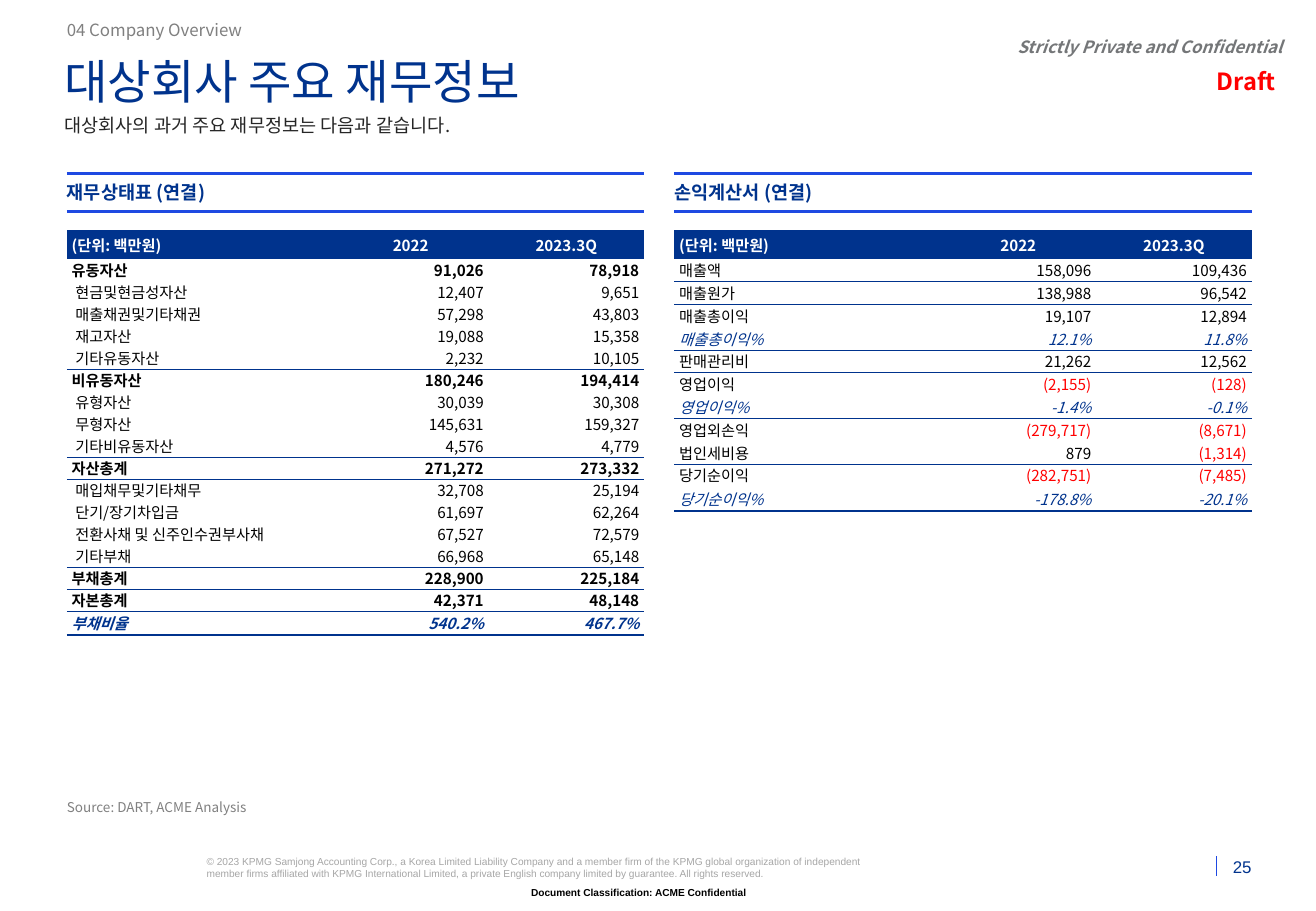
from lxml.etree import SubElement
from pptx import Presentation
from pptx.dml.color import RGBColor
from pptx.enum.shapes import MSO_CONNECTOR
from pptx.enum.text import MSO_ANCHOR, PP_ALIGN
from pptx.oxml import parse_xml
from pptx.oxml.ns import nsdecls, qn
from pptx.util import Pt

EMU_PER_PX = 9144
SANS, ARIAL = "Noto Sans CJK KR", "Arial"
NO_GRID_STYLE = "{2D5ABB26-0587-4C30-8999-92F81FD0307C}"
COLORS = {
    "navy": "00338D", "blue": "1E49E2", "red": "FF0000", "black": "000000",
    "white": "FFFFFF", "dark": "262626", "gray": "808080", "warm": "747678",
    "pale": "A6A6A6",
}
LEFT, MIDDLE, RIGHT = PP_ALIGN.LEFT, PP_ALIGN.CENTER, PP_ALIGN.RIGHT
SECTION_WIDTH = 475
COLUMNS = (219, 128, 128)
HEADER = ("(단위: 백만원)", "2022", "2023.3Q")
HEADER_HEIGHT = 24

# label, 2022, 2023.3Q, kind of row, whether a rule runs below
BALANCE_SHEET = [
    ("유동자산", "91,026", "78,918", "total", False),
    ("현금및현금성자산", "12,407", "9,651", "item", False),
    ("매출채권및기타채권", "57,298", "43,803", "item", False),
    ("재고자산", "19,088", "15,358", "item", False),
    ("기타유동자산", "2,232", "10,105", "item", True),
    ("비유동자산", "180,246", "194,414", "total", False),
    ("유형자산", "30,039", "30,308", "item", False),
    ("무형자산", "145,631", "159,327", "item", False),
    ("기타비유동자산", "4,576", "4,779", "item", True),
    ("자산총계", "271,272", "273,332", "total", True),
    ("매입채무및기타채무", "32,708", "25,194", "item", False),
    ("단기/장기차입금", "61,697", "62,264", "item", False),
    ("전환사채 및 신주인수권부사채", "67,527", "72,579", "item", False),
    ("기타부채", "66,968", "65,148", "item", True),
    ("부채총계", "228,900", "225,184", "total", True),
    ("자본총계", "42,371", "48,148", "total", True),
    ("부채비율", "540.2%", "467.7%", "total ratio", True),
]
INCOME_STATEMENT = [
    ("매출액", "158,096", "109,436", "plain", True),
    ("매출원가", "138,988", "96,542", "plain", True),
    ("매출총이익", "19,107", "12,894", "plain", False),
    ("매출총이익%", "12.1%", "11.8%", "ratio", True),
    ("판매관리비", "21,262", "12,562", "plain", True),
    ("영업이익", "(2,155)", "(128)", "plain", False),
    ("영업이익%", "-1.4%", "-0.1%", "ratio", True),
    ("영업외손익", "(279,717)", "(8,671)", "plain", False),
    ("법인세비용", "879", "(1,314)", "plain", True),
    ("당기순이익", "(282,751)", "(7,485)", "plain", False),
    ("당기순이익%", "-178.8%", "-20.1%", "ratio", True),
]


def px(length):
    return round(length * EMU_PER_PX)


def write(frame, text, size, color, align=LEFT, bold=False, italic=False,
          name=SANS, spacing=None):
    para = frame.paragraphs[0]
    para.text = text
    para.alignment = align
    para.line_spacing = spacing
    font = para.font
    font.name, font.size, font.bold, font.italic = name, Pt(size), bold, italic
    font.color.rgb = RGBColor.from_string(COLORS[color])
    SubElement(font._element, qn("a:ea"), typeface=name)


def add_text(shapes, area, text, size, color, anchor=MSO_ANCHOR.TOP, **style):
    box = shapes.add_textbox(*map(px, area))
    frame = box.text_frame
    frame.word_wrap = True
    frame.vertical_anchor = anchor
    frame.margin_left = frame.margin_right = 0
    frame.margin_top = frame.margin_bottom = 0
    write(frame, text, size, color, **style)


def add_line(shapes, start, end, width):
    line = shapes.add_connector(MSO_CONNECTOR.STRAIGHT, *map(px, start + end))
    line.line.color.rgb = RGBColor.from_string(COLORS["blue"])
    line.line.width = Pt(width)
    SubElement(line._element.spPr, qn("a:effectLst"))


def add_section_title(page, left, text):
    shapes = page.shapes.add_group_shape().shapes
    top, height = 143, 31
    add_text(shapes, (left, top, SECTION_WIDTH, height), text, 11, "navy",
             anchor=MSO_ANCHOR.MIDDLE, bold=True)
    for y in (top, top + height):
        add_line(shapes, (left, y), (left + SECTION_WIDTH, y), 1.5)


def set_rule_below(cell, width):
    cell._tc.get_or_add_tcPr().insert(0, parse_xml(
        f'<a:lnB {nsdecls("a")} w="{Pt(width)}"><a:solidFill>'
        f'<a:srgbClr val="{COLORS["navy"]}"/></a:solidFill></a:lnB>'))


def fill_cell(cell, text, color, inset=4, top=0, **style):
    cell.margin_left, cell.margin_right = px(inset), px(4)
    cell.margin_top, cell.margin_bottom = px(top), 0
    cell.vertical_anchor = MSO_ANCHOR.MIDDLE
    cell.fill.background()
    write(cell.text_frame, text, 9, color, **style)


def add_statement(page, left, height, entries):
    """Table with a navy header; its last row is one px taller than the others."""
    frame = page.shapes.add_table(len(entries) + 1, len(COLUMNS), px(left), px(189),
                                  px(SECTION_WIDTH), px(height))
    table = frame.table
    table.first_row = table.horz_banding = False
    table._tbl.tblPr.find(qn("a:tableStyleId")).text = NO_GRID_STYLE
    for column, width in zip(table.columns, COLUMNS):
        column.width = px(width)
    row_height = (height - HEADER_HEIGHT - 1) / len(entries)
    for row in table.rows:
        row.height = px(row_height)
    table.rows[0].height = px(HEADER_HEIGHT)
    table.rows[len(entries)].height = px(row_height + 1)

    for index, text in enumerate(HEADER):
        cell = table.cell(0, index)
        fill_cell(cell, text, "white", top=1, bold=True,
                  align=MIDDLE if index else LEFT)
        cell.fill.solid()
        cell.fill.fore_color.rgb = RGBColor.from_string(COLORS["navy"])

    for number, (*texts, kind, ruled) in enumerate(entries, 1):
        ratio = "ratio" in kind
        for index, text in enumerate(texts):
            color = "navy" if ratio else "red" if text.startswith("(") else "black"
            cell = table.cell(number, index)
            fill_cell(cell, text, color, bold="total" in kind, italic=ratio,
                      inset=7 if kind == "item" and index == 0 else 4,
                      align=RIGHT if index else LEFT)
            if ruled:
                set_rule_below(cell, 1.5 if number == len(entries) else 0.5)


def add_page_frame(page):
    """Confidentiality marks at the top and the footer."""
    shapes = page.shapes
    add_text(shapes, (805, 28, 250, 21), "Strictly Private and Confidential", 10, "warm",
             anchor=MSO_ANCHOR.MIDDLE, align=RIGHT, bold=True, italic=True)
    add_text(shapes, (862, 55, 188, 24), "Draft", 14, "red",
             anchor=MSO_ANCHOR.MIDDLE, align=RIGHT, bold=True)
    add_text(shapes, (1003, 706, 27, 16), "25", 10, "navy",
             anchor=MSO_ANCHOR.BOTTOM, align=RIGHT, name=ARIAL)
    add_text(shapes, (414, 730, 200, 10), "Document Classification: ACME Confidential",
             6, "black", align=RIGHT, bold=True, name=ARIAL)
    add_line(shapes, (1001, 705), (1001, 721), 0.5)
    add_text(shapes, (170, 704, 559, 20),
             "© 2023 KPMG Samjong Accounting Corp., a Korea Limited Liability Company "
             "and a member firm of the KPMG global organization of independent member "
             "firms affiliated with KPMG International Limited, a private English "
             "company limited by guarantee. All rights reserved.",
             6, "pale", name=ARIAL)


def main():
    deck = Presentation()
    deck.slide_width, deck.slide_height = px(1083), px(750)
    page = deck.slides.add_slide(deck.slide_layouts[6])
    add_page_frame(page)
    add_text(page.shapes, (55, 14, 938, 21), "04 Company Overview", 10, "gray",
             anchor=MSO_ANCHOR.MIDDLE)
    add_text(page.shapes, (53, 96, 976, 19),
             "대상회사의 과거 주요 재무정보는 다음과 같습니다.", 11, "dark", spacing=0.9)
    add_text(page.shapes, (53, 48, 976, 47), "대상회사 주요 재무정보", 28, "navy",
             spacing=0.9)
    for left, title, height, entries in (
            (55, "재무상태표 (연결)", 334, BALANCE_SHEET),
            (555, "손익계산서 (연결)", 232, INCOME_STATEMENT)):
        add_section_title(page, left, title)
        add_statement(page, left, height, entries)
    add_text(page.shapes, (55, 655, 469, 16), "Source: DART, ACME Analysis", 8, "gray",
             anchor=MSO_ANCHOR.BOTTOM)
    deck.save("out.pptx")


if __name__ == "__main__":
    main()
